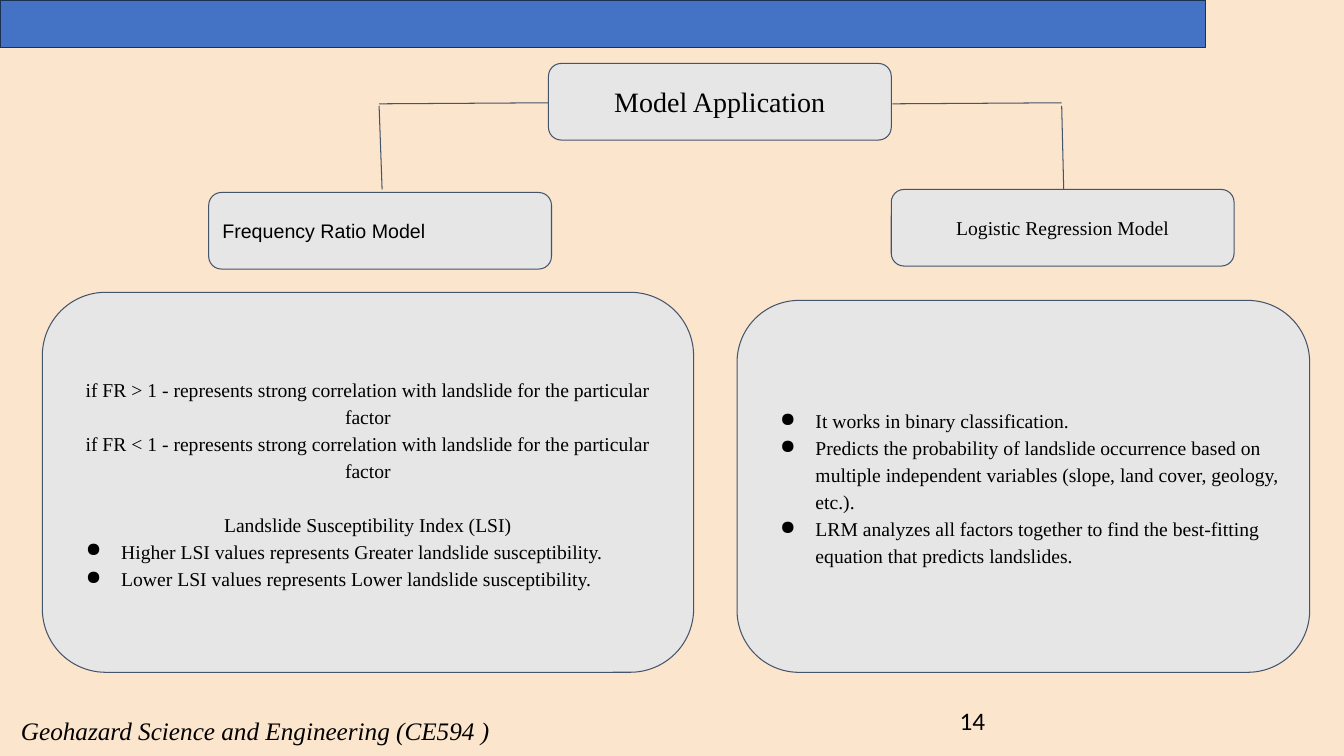
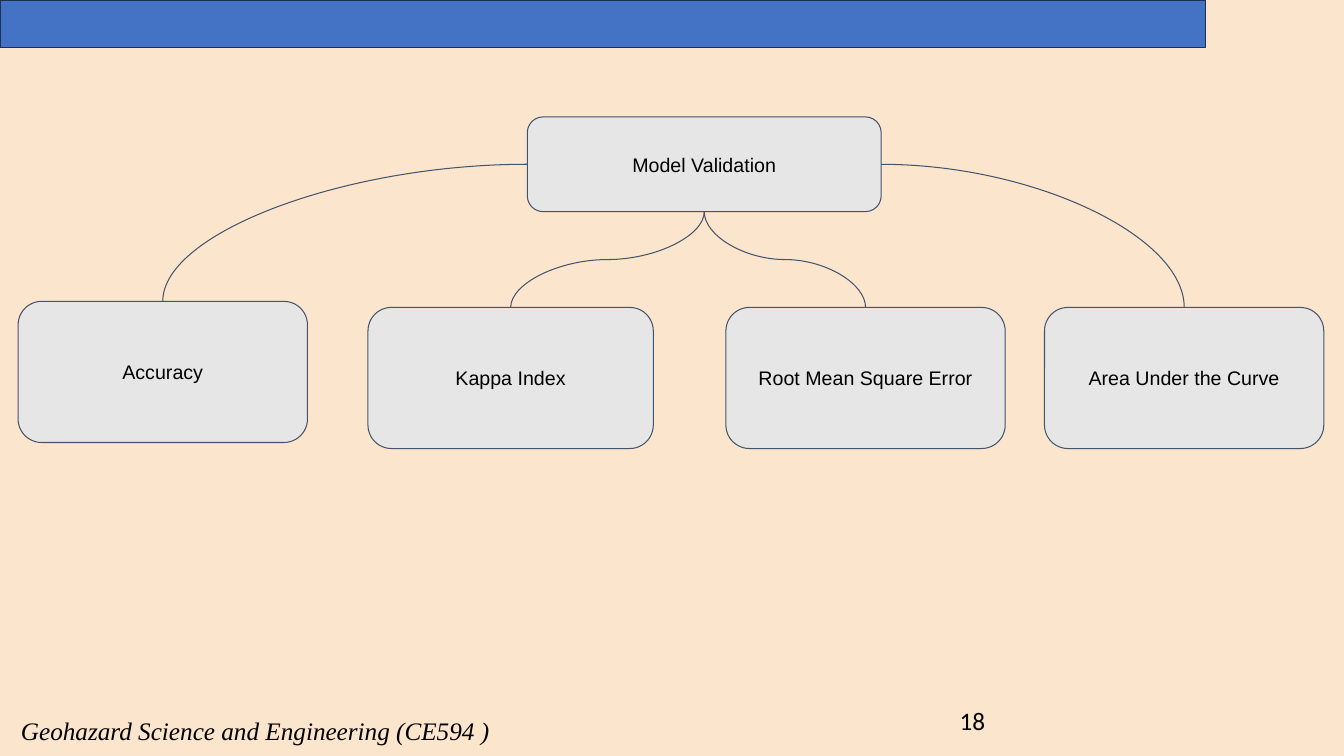
from lxml import etree
from pptx import Presentation
from pptx.dml.color import RGBColor
from pptx.enum.shapes import MSO_CONNECTOR as Link, MSO_SHAPE as Shape
from pptx.enum.text import MSO_ANCHOR as Anchor, PP_ALIGN as Align
from pptx.oxml.ns import qn
from pptx.util import Inches, Pt

PEACH, BLUE, NAVY = "FCE5CD", "4472C4", "1C3052"
GREY, SLATE, BLACK = "E7E6E6", "44546A", "000000"
SERIF, SANS, BODY = "Times New Roman", "Arial", "Calibri"
TOP, LEFT, BOTTOM, RIGHT = range(4)  # connection sites of a box
COURSE = "Geohazard Science and Engineering (CE594 )"

# Each item: text, bulleted, points of space before
RATIO = [
    ("if FR > 1 - represents strong correlation with landslide for the particular factor", False, 0),
    ("if FR < 1 - represents strong correlation with landslide for the particular factor", False, 0),
    ("Landslide Susceptibility Index (LSI)", False, 19),
    ("Higher LSI values represents Greater landslide susceptibility.", True, 0),
    ("Lower LSI values represents Lower landslide susceptibility.", True, 0),
]
LOGISTIC = [
    ("It works in binary classification.", True, 0),
    ("Predicts the probability of landslide occurrence based on multiple independent "
     "variables (slope, land cover, geology, etc.).", True, 0),
    ("LRM analyzes all factors together to find the best-fitting equation that "
     "predicts landslides.", True, 0),
]
PANELS = [((0.42, 2.9, 6.46, 3.77), RATIO), ((7.31, 2.98, 5.68, 3.69), LOGISTIC)]
HEADS = [
    ("Model Application", (5.44, 0.63), 20, SERIF, Align.CENTER),
    ("Frequency Ratio Model", (2.07, 1.91), 14, SANS, Align.LEFT),
    ("Logistic Regression Model", (8.84, 1.88), 14, SERIF, Align.CENTER),
]
HEAD_SIZE = (3.4, 0.76)
LINES = [
    (5.44, 1.02, 3.76, 1.03), (3.76, 1.05, 3.79, 1.88),
    (10.53, 1.02, 8.85, 1.03), (10.53, 1.05, 10.55, 1.88),
]

ROOT = ("Model Validation", (5.23, 1.16, 3.51, 0.94))
# Each measure: text, place, site on the root box where its curve starts
MEASURES = [
    ("Accuracy", (0.18, 2.99, 2.87, 1.4), LEFT),
    ("Kappa Index", (3.65, 3.05, 2.83, 1.4), BOTTOM),
    ("Root Mean Square Error", (7.2, 3.05, 2.77, 1.4), BOTTOM),
    ("Area Under the Curve", (10.36, 3.05, 2.77, 1.4), RIGHT),
]


def color(code):
    return RGBColor.from_string(code)


def style(para, size, face, align=Align.LEFT):
    para.alignment = align
    font = para.font
    font.size, font.name, font.color.rgb = Pt(size), face, color(BLACK)


def add_box(slide, kind, place, fill, line, width):
    box = slide.shapes.add_shape(kind, *map(Inches, place))
    box.shadow.inherit = False
    box.fill.solid()
    box.fill.fore_color.rgb = color(fill)
    box.line.color.rgb = color(line)
    box.line.width = Pt(width)
    return box


def add_card(slide, place):
    """Add a grey rounded box and return it, ready for text."""
    card = add_box(slide, Shape.ROUNDED_RECTANGLE, place, GREY, SLATE, 0.75)
    frame = card.text_frame
    frame.word_wrap = True
    frame.vertical_anchor = Anchor.MIDDLE
    frame.margin_left = frame.margin_right = Inches(0.1)
    frame.margin_top = frame.margin_bottom = Inches(0.1)
    return card


def add_label(slide, text, place, size=14, face=SANS, align=Align.CENTER):
    card = add_card(slide, place)
    para = card.text_frame.paragraphs[0]
    para.text = text
    style(para, size, face, align)
    return card


def add_bullet(para):
    props = para._p.get_or_add_pPr()
    props.set("marL", str(Inches(0.5)))
    props.set("indent", str(Inches(-0.35)))
    tint = etree.SubElement(props, qn("a:buClr"))
    etree.SubElement(tint, qn("a:srgbClr"), val=BLACK)
    etree.SubElement(props, qn("a:buChar"), char="●")


def add_panel(slide, place, items):
    frame = add_card(slide, place).text_frame
    for i, (text, bullet, gap) in enumerate(items):
        para = frame.add_paragraph() if i else frame.paragraphs[0]
        para.text = text
        if bullet:
            add_bullet(para)
        para.line_spacing = 1.15
        if gap:
            para.space_before = Pt(gap)
        style(para, 14, SERIF, Align.LEFT if bullet else Align.CENTER)


def add_line(slide, kind, ends=(0, 0, 0, 0)):
    line = slide.shapes.add_connector(kind, *map(Inches, ends))
    line.line.color.rgb = color(SLATE)
    line.line.width = Pt(0.75)
    etree.SubElement(line._element.spPr, qn("a:effectLst"))
    return line


def add_curve(slide, root, site, card):
    """Curve from a site of the root box to the top of a card."""
    curve = add_line(slide, Link.CURVE)
    curve.begin_connect(root, site)
    curve.end_connect(card, TOP)
    props = curve._element.spPr
    if site != BOTTOM:
        props.find(qn("a:prstGeom")).set("prst", "curvedConnector2")
        return
    # An S-curve that leaves downwards is a sideways one, turned a quarter
    right = curve.end_x > curve.begin_x
    wide, high = curve.width, curve.height
    shift = (wide - high) // 2
    curve.left, curve.top = curve.left + shift, curve.top - shift
    curve.width, curve.height = high, wide
    frame = props.find(qn("a:xfrm"))
    frame.set("rot", str((270 if right else 90) * 60000))
    frame.set("flipH", "1" if right else "0")


def add_note(slide, text, place, face):
    frame = slide.shapes.add_textbox(*map(Inches, place)).text_frame
    frame.word_wrap = True
    para = frame.paragraphs[0]
    para.text = text
    style(para, 18, face)
    return para


def add_page(deck, number):
    """Add a slide with the band, course footer and page number."""
    slide = deck.slides.add_slide(deck.slide_layouts[6])
    add_box(slide, Shape.RECTANGLE, (0, 0, 11.96, 0.47), BLUE, NAVY, 1)
    add_note(slide, COURSE, (0.11, 7.05, 4.96, 0.4), SERIF).font.italic = True
    add_note(slide, number, (9.42, 6.95, 3, 0.4), BODY)
    return slide


def add_models(deck):
    slide = add_page(deck, "14")
    for text, spot, size, face, align in HEADS:
        add_label(slide, text, spot + HEAD_SIZE, size, face, align)
    for ends in LINES:
        add_line(slide, Link.STRAIGHT, ends)
    for place, items in PANELS:
        add_panel(slide, place, items)


def add_checks(deck):
    slide = add_page(deck, "18")
    root = add_label(slide, *ROOT)
    for text, place, site in MEASURES:
        add_curve(slide, root, site, add_label(slide, text, place))


def main():
    deck = Presentation()
    deck.slide_width, deck.slide_height = Inches(13.33), Inches(7.5)
    back = deck.slide_master.background.fill
    back.solid()
    back.fore_color.rgb = color(PEACH)
    add_models(deck)
    add_checks(deck)
    deck.save("out.pptx")


if __name__ == "__main__":
    main()
